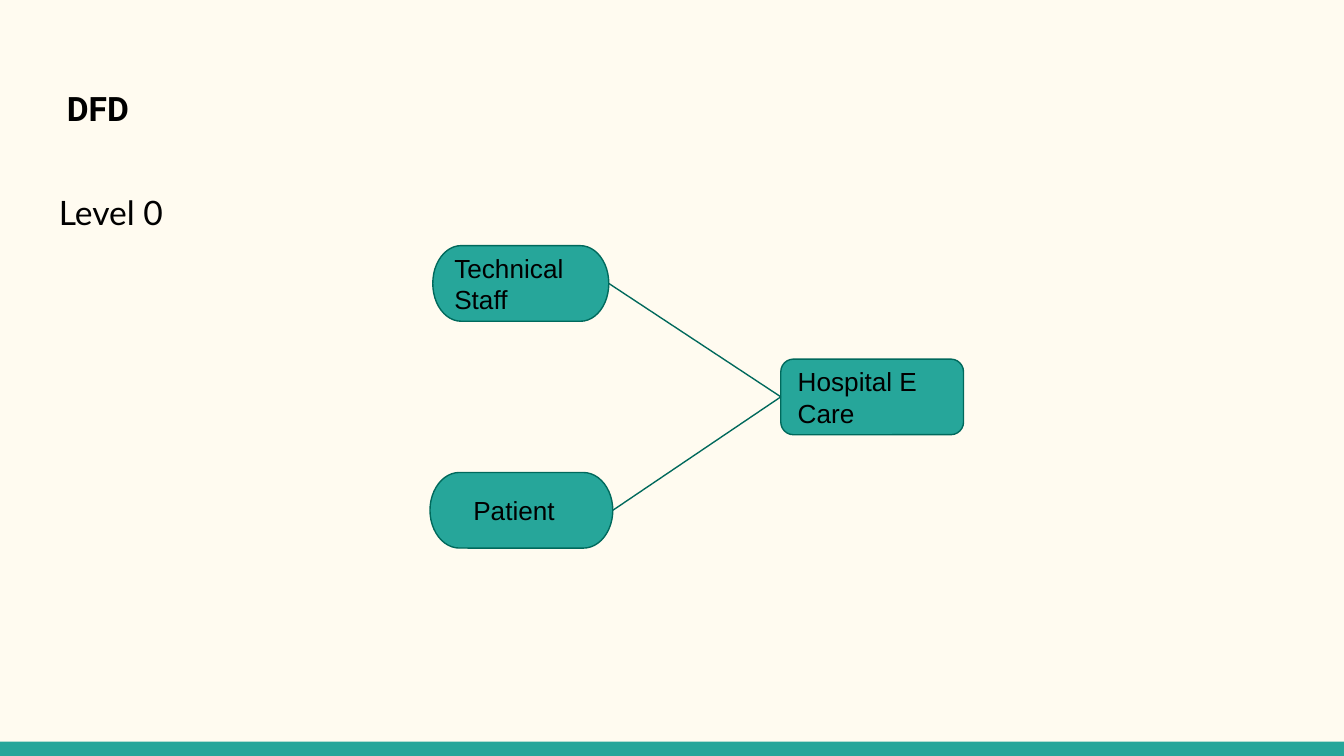
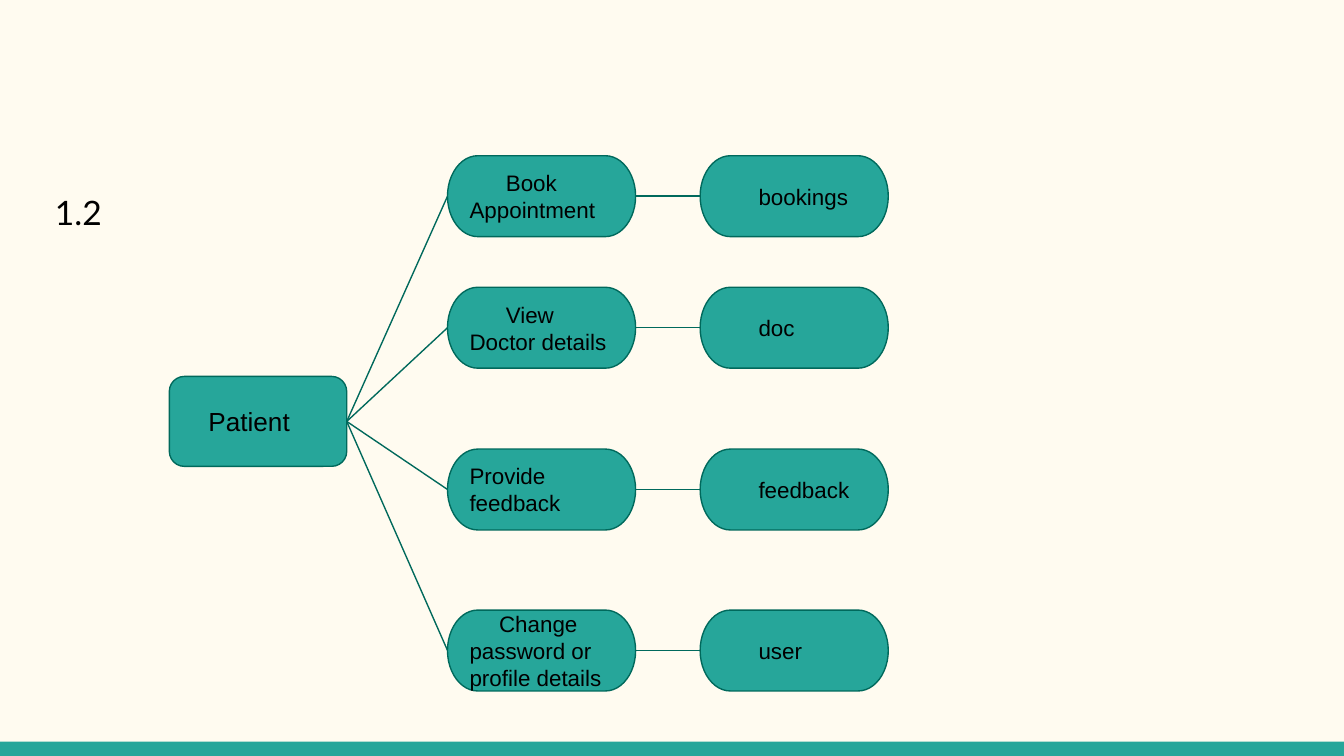
import pptx
import pptx.dml.color
import pptx.enum.shapes
import pptx.enum.text
import pptx.util
import lxml.etree

CREAM = pptx.dml.color.RGBColor(0xFF, 0xFB, 0xF0)
TEAL = pptx.dml.color.RGBColor(0x26, 0xA6, 0x9A)
DARK_TEAL = pptx.dml.color.RGBColor(0x00, 0x69, 0x5C)
BLACK = pptx.dml.color.RGBColor(0x00, 0x00, 0x00)

deck = pptx.Presentation()
deck.slide_width = pptx.util.Inches(10)
deck.slide_height = pptx.util.Inches(5.625)
COLUMN = deck.slide_width / 100
ROW = deck.slide_height / 100
MARGIN = pptx.util.Inches(0.1)
LINE_WIDTH = pptx.util.Pt(0.75)
LEFT_SITE, RIGHT_SITE = 1, 3

PRESET = pptx.enum.shapes.MSO_SHAPE
PROCESS = PRESET.FLOWCHART_ALTERNATE_PROCESS
TERMINATOR = PRESET.FLOWCHART_TERMINATOR
ROUNDED = PRESET.ROUNDED_RECTANGLE


def place(left, top, width, height):
    """Turn columns and rows into slide lengths."""
    return [round(length) for length in
            (left * COLUMN, top * ROW, width * COLUMN, height * ROW)]


def write(box, text, font="Arial", size=14, bold=False, indent=0,
          anchor="MIDDLE", spacing=1.0, after=0):
    """Fill a box with one paragraph; indent shifts its first line, in columns."""
    frame = box.text_frame
    frame.word_wrap = True
    frame.vertical_anchor = pptx.enum.text.MSO_ANCHOR[anchor]
    frame.margin_left = frame.margin_right = MARGIN
    frame.margin_top = frame.margin_bottom = MARGIN
    para = frame.paragraphs[0]
    para.alignment = pptx.enum.text.PP_ALIGN.LEFT
    para.line_spacing = spacing
    para.space_after = pptx.util.Pt(after)
    para._p.get_or_add_pPr().set("indent", str(round(indent * COLUMN)))
    span = para.add_run()
    span.text = text
    span.font.name = font
    span.font.size = pptx.util.Pt(size)
    span.font.bold = bold
    span.font.color.rgb = BLACK


# Each heading: text, place, font, bold
level_headings = [
    ("DFD", (4, 9.1, 90.4, 11.9), "Roboto", True),
    ("Level 0", (3.4, 22.8, 93.2, 66.1), "Lato", False),
]
patient_headings = [("1.2", (3.1, 22.8, 93.2, 66.1), "Lato", False)]

# Each node: preset, place, text, text size, first-line indent
level_nodes = {
    "care": (PROCESS, (58.1, 47.5, 13.6, 10), "Hospital E Care", 14, 0),
    "staff": (TERMINATOR, (32.2, 32.5, 13.1, 10), "Technical Staff", 14, 0),
    "patient": (TERMINATOR, (32, 62.5, 13.6, 10), "Patient", 14, 1.6),
}
level_links = [("staff", "care"), ("patient", "care")]

patient_nodes = {
    "patient": (ROUNDED, (12.6, 49.8, 13.2, 11.9), "Patient", 14, 1.6),
}
patient_links = []
activities = [
    (20.6, "Book Appointment", 2.7, "bookings"),
    (38, "View Doctor details", 2.7, "doc"),
    (59.4, "Provide feedback", 0, "feedback"),
    (80.7, "Change password or profile details", 2.2, "user"),
]
for top, activity, indent, store in activities:
    patient_nodes[activity] = (TERMINATOR, (33.3, top, 14, 10.7), activity, 12, indent)
    # Stores sit further in than their activities
    patient_nodes[store] = (TERMINATOR, (52.1, top, 14, 10.7), store, 12, 2.7)
    patient_links += [("patient", activity), (activity, store)]

for headings, nodes, links in [
    (level_headings, level_nodes, level_links),
    (patient_headings, patient_nodes, patient_links),
]:
    page = deck.slides.add_slide(deck.slide_layouts[6])
    page.background.fill.solid()
    page.background.fill.fore_color.rgb = CREAM

    band = page.shapes.add_shape(PRESET.RECTANGLE, *place(0, 98.1, 100, 1.9))
    band.shadow.inherit = False
    band.fill.solid()
    band.fill.fore_color.rgb = TEAL
    band.line.fill.background()

    for text, area, font, bold in headings:
        box = page.shapes.add_textbox(*place(*area))
        write(box, text, font=font, size=18, bold=bold,
              anchor="TOP", spacing=1.15, after=12)

    drawn = {}
    for name, (preset, area, text, size, indent) in nodes.items():
        box = page.shapes.add_shape(preset, *place(*area))
        box.shadow.inherit = False
        box.fill.solid()
        box.fill.fore_color.rgb = TEAL
        box.line.color.rgb = DARK_TEAL
        box.line.width = LINE_WIDTH
        write(box, text, size=size, indent=indent)
        drawn[name] = box

    for source, target in links:
        link = page.shapes.add_connector(
            pptx.enum.shapes.MSO_CONNECTOR.STRAIGHT, 0, 0, 0, 0)
        link.begin_connect(drawn[source], RIGHT_SITE)
        link.end_connect(drawn[target], LEFT_SITE)
        link.line.color.rgb = DARK_TEAL
        link.line.width = LINE_WIDTH
        lxml.etree.SubElement(
            link._element.spPr, pptx.oxml.ns.qn("a:effectLst"))

deck.save("out.pptx")
